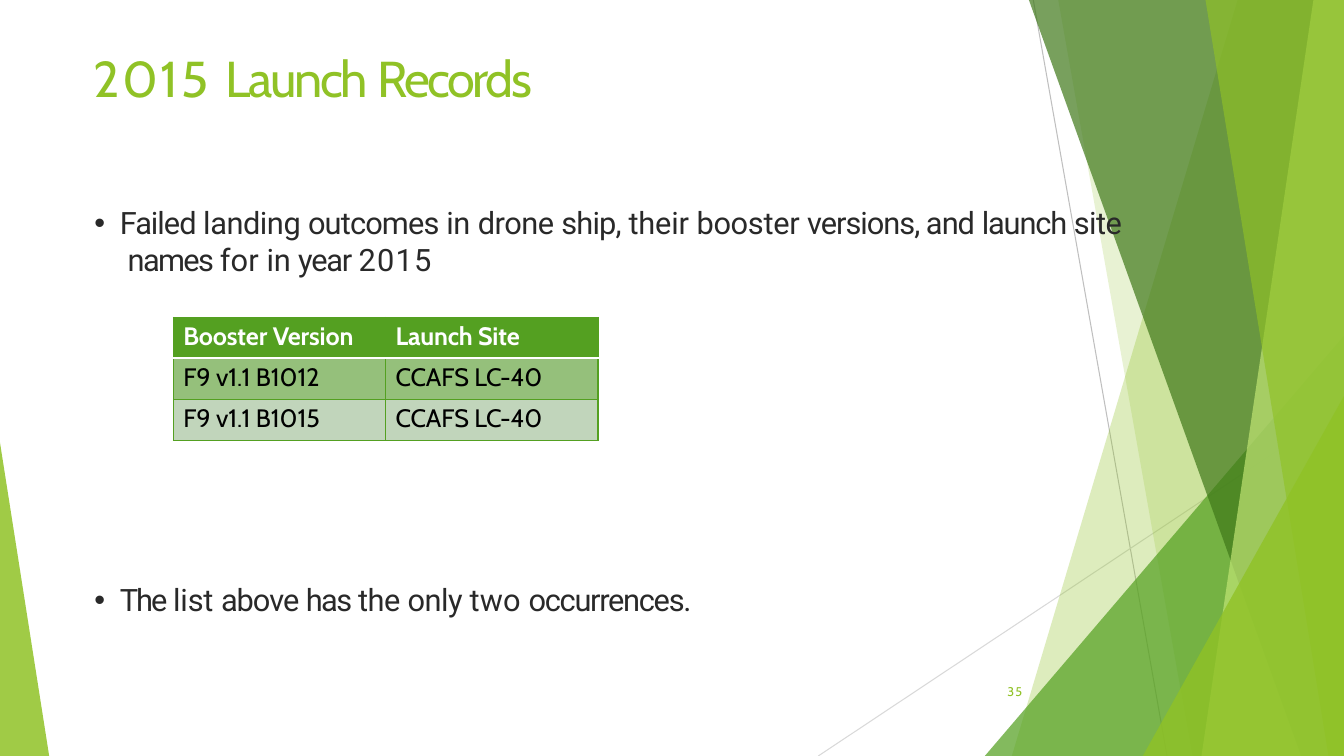
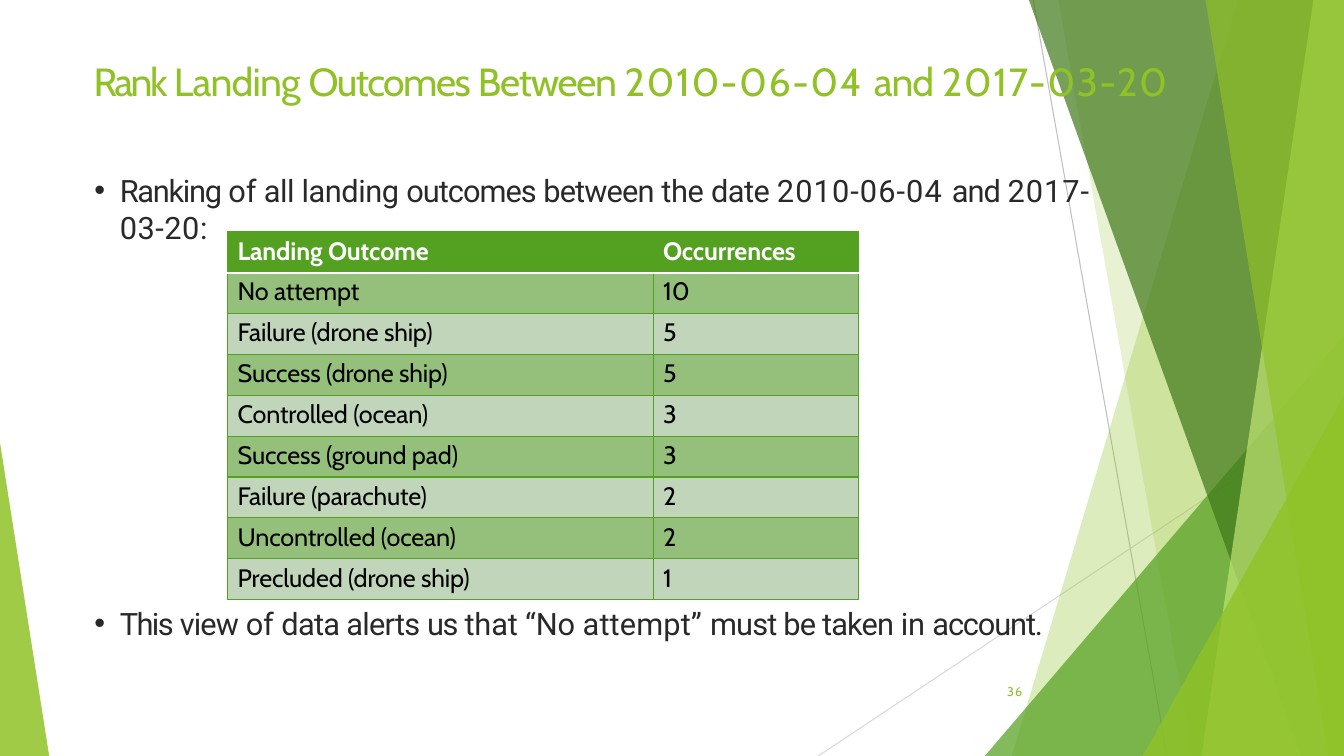
"""Build two slides of launch records with python-pptx."""
import dataclasses

import lxml.etree
import pptx
import pptx.dml.color
import pptx.enum.shapes
import pptx.enum.text
import pptx.oxml.ns
import pptx.util

Cm = pptx.util.Cm
Pt = pptx.util.Pt
qn = pptx.oxml.ns.qn


@dataclasses.dataclass(frozen=True)
class Theme:
    """Colours, fonts and type sizes of the deck."""
    wide: float = 33.87
    high: float = 19.05
    left: float = 2.36
    lime: str = "90C226"
    green: str = "54A021"
    dark: str = "3F7819"
    pale: str = "C0E474"
    ink: str = "292929"
    black: str = "000000"
    white: str = "FFFFFF"
    rules: tuple = ("BFBFBF", "D9D9D9")
    rows: tuple = ("95C07B", "C1D5BB")
    head: str = "Cabin"
    body: str = "Roboto"
    text: int = 22
    cell: int = 18
    page: int = 9


T = Theme()


def rgb(code):
    """Turn a hex code into a colour."""
    return pptx.dml.color.RGBColor.from_string(code)


def put(item, vals):
    """Set each named value on an item."""
    for name, val in vals.items():
        setattr(item, name, val)


def node(parent, tag, **vals):
    """Add an XML child with attributes."""
    return lxml.etree.SubElement(parent, qn(tag), vals)


def write(para, runs, face, size, code, bold=False):
    """Add runs given as text and letter spacing in points."""
    for text, gap in runs:
        run = para.add_run()
        run.text = text
        put(run.font, {"name": face, "size": Pt(size), "bold": bold})
        run.font.color.rgb = rgb(code)
        run.font._element.set("spc", str(round(gap * 100)))


def frame(slide, left, top, wide, high, inset=0.03):
    """Add a wrapping text box and return its frame."""
    box = slide.shapes.add_textbox(Cm(left), Cm(top), Cm(wide), Cm(high))
    put(box.text_frame, {"word_wrap": True, "margin_left": 0, "margin_right": 0,
                         "margin_top": Cm(inset), "margin_bottom": 0})
    return box.text_frame


def tint(shape, code, alpha):
    """Give a shape a see-through fill and no outline."""
    shape.shadow.inherit = False
    shape.fill.solid()
    shape.fill.fore_color.rgb = rgb(code)
    shape.line.fill.background()
    fill = next(shape._element.spPr.iter(qn("a:srgbClr")))
    node(fill, "a:alpha", val=str(alpha * 1000))


def band(slide, top, base, code, alpha):
    """Draw a band from a slanted edge to the right side."""
    path = slide.shapes.build_freeform(Cm(top), 0)
    path.add_line_segments([(Cm(T.wide), 0), (Cm(T.wide), Cm(T.high)),
                            (Cm(base), Cm(T.high))])
    tint(path.convert_to_shape(), code, alpha)


def spike(slide, left, wide, high, peak, code, alpha):
    """Draw a right-angled triangle that stands on the bottom edge."""
    kind = pptx.enum.shapes.MSO_SHAPE.ISOSCELES_TRIANGLE
    shape = slide.shapes.add_shape(kind, Cm(left), Cm(T.high - high), Cm(wide), Cm(high))
    shape.adjustments[0] = peak
    tint(shape, code, alpha)


def rule(slide, ends, code):
    """Draw a thin line."""
    kind = pptx.enum.shapes.MSO_CONNECTOR.STRAIGHT
    line = slide.shapes.add_connector(kind, *map(Cm, ends))
    line.line.width = Pt(0.75)
    line.line.color.rgb = rgb(code)
    node(line._element.spPr, "a:effectLst")


def decor(slide):
    """Draw the shared lines, bands and triangles."""
    ends = ((26.04, 0, 29.41, T.high), (T.wide, 10.24, 20.62, T.high))
    for pair, code in zip(ends, T.rules):
        rule(slide, pair, code)
    band(slide, 31.19, 25.5, T.lime, 30)
    band(slide, 26.67, 30.05, T.lime, 20)
    spike(slide, 24.82, 9.05, 10.59, 1, T.green, 72)
    band(slide, 25.93, 32.79, T.dark, 70)
    band(slide, 33.1, 30.28, T.pale, 70)
    band(slide, 30.38, 33.48, T.lime, 65)
    spike(slide, 28.8, 5.07, 9.07, 1, T.lime, 80)
    spike(slide, 0, 1.24, 7.9, 0, T.lime, 85)


def title(slide, top, wide, size, runs):
    """Add the slide title."""
    text = frame(slide, T.left, top, wide, size * 0.045)
    write(text.paragraphs[0], runs, T.head, size, T.lime)


def number(slide, page):
    """Add the page number."""
    text = frame(slide, 23.85, 16.79, 1.91, 1.02, 0)
    text.vertical_anchor = pptx.enum.text.MSO_ANCHOR.MIDDLE
    para = text.paragraphs[0]
    put(para, {"alignment": pptx.enum.text.PP_ALIGN.RIGHT, "line_spacing": Pt(18.4)})
    write(para, [(page, 0.8)], T.head, T.page, T.lime)


def bullet(slide, top, wide, runs, more=(), inset=0.66):
    """Add a bullet and, if given, an indented line below it."""
    text = frame(slide, T.left, top, wide, 1.93)
    para = text.paragraphs[0]
    prop = para._p.get_or_add_pPr()
    put_in = {"marL": Cm(0.66), "indent": Cm(-0.64)}
    for name, val in put_in.items():
        prop.set(name, str(val))
    node(prop, "a:buFont", typeface="Arial")
    node(prop, "a:buChar", char="•")
    write(para, runs, T.body, T.text, T.ink)
    if more:
        para = text.add_paragraph()
        para._p.get_or_add_pPr().set("marL", str(Cm(inset)))
        write(para, more, T.body, T.text, T.ink)


def edge(cell, side, code, width):
    """Draw one border of a cell."""
    line = node(cell._tc.get_or_add_tcPr(), "a:ln" + side, w=str(Pt(width)))
    node(node(line, "a:solidFill"), "a:srgbClr", val=code)


def table(slide, left, top, cols, rows):
    """Add a banded table with a header row."""
    high = 1.03
    grid = slide.shapes.add_table(len(rows), len(cols), Cm(left), Cm(top),
                                  Cm(sum(cols)), Cm(high * len(rows))).table
    for col, wide in zip(grid.columns, cols):
        col.width = Cm(wide)
    for i, row in enumerate(rows):
        grid.rows[i].height = Cm(high)
        first = i == 0
        for j, text in enumerate(row):
            cell = grid.cell(i, j)
            put(cell, {"margin_left": Cm(0.25), "margin_right": 0,
                       "margin_top": Cm(0.1), "margin_bottom": 0})
            white = {0: "B", 1: "T"}.get(i)
            for side in "LRTB":
                look = (T.white, 1.5) if side == white else (T.green, 1)
                edge(cell, side, *look)
            cell.fill.solid()
            cell.fill.fore_color.rgb = rgb(T.green if first else T.rows[(i - 1) % 2])
            write(cell.text_frame.paragraphs[0], [(text, -0.1)], T.head, T.cell,
                  T.white if first else T.black, first)


def start(deck, page):
    """Add a blank slide with the shared parts."""
    slide = deck.slides.add_slide(deck.slide_layouts[6])
    decor(slide)
    number(slide, page)
    return slide


def records(deck):
    """Build the slide of launch records."""
    slide = start(deck, "35")
    bullet(slide, 5.11, 27.2, [
        ("Failed ", -0.7), ("landing ", -0.3), ("outcomes ", -0.6), ("in ", -0.2),
        ("drone ", -0.3), ("ship, ", -0.6), ("their ", -0.1), ("booster ", -0.2),
        ("versions, and ", -0.7), ("launch ", -0.8), ("site", -0.4)],
        [("names ", -1.2), ("for ", 0.1), ("in ", -0.2), ("year ", -0.9), ("2015", 0.9)],
        0.86)
    title(slide, 1.17, 12.42, 36, [("2015 ", 1.8), ("Launch ", -1.6), ("Records", -1.8)])
    bullet(slide, 14.61, 15.2, [
        ("The ", -1.4), ("list ", -0.1), ("above ", -0.7), ("has ", -1.2), ("the ", -0.3),
        ("only ", -0.4), ("two ", 0.1), ("occurrences.", -0.9)])
    table(slide, 4.37, 8, (5.35, 5.35), [
        ("Booster Version", "Launch Site"),
        ("F9 v1.1 B1012", "CCAFS LC-40"),
        ("F9 v1.1 B1015", "CCAFS LC-40")])


def ranking(deck):
    """Build the slide that ranks landing outcomes."""
    slide = start(deck, "36")
    bullet(slide, 4.29, 26.4, [
        ("Ranking ", -0.9), ("of ", -0.1), ("all ", -0.4), ("landing ", -0.3),
        ("outcomes ", -0.7), ("between ", -0.6), ("the ", -0.3), ("date ", -0.4),
        ("2010-06-04 ", 0.8), ("and ", -0.7), ("2017-", 0.7)], [("03-20:", 0.4)])
    title(slide, 1.42, 28.2, 28, [
        ("Rank ", -1.8), ("Landing ", -0.6), ("Outcomes ", -1.1), ("Between ", -0.9),
        ("2010-06-04 ", 1.1), ("and ", -0.8), ("2017-03-20", 1.1)])
    bullet(slide, 15.21, 24, [
        ("This ", -1.1), ("view ", -0.6), ("of ", -0.1), ("data alerts ", -0.5),
        ("us ", -1.1), ("that “No ", -0.1), ("attempt” ", 0.1),
        ("must be taken ", -0.6), ("in ", -0.2), ("account.", -0.8)])
    table(slide, 5.74, 5.84, (10.72, 5.18), [
        ("Landing Outcome", "Occurrences"),
        ("No attempt", "10"),
        ("Failure (drone ship)", "5"),
        ("Success (drone ship)", "5"),
        ("Controlled (ocean)", "3"),
        ("Success (ground pad)", "3"),
        ("Failure (parachute)", "2"),
        ("Uncontrolled (ocean)", "2"),
        ("Precluded (drone ship)", "1")])


def main():
    """Build and save the deck."""
    deck = pptx.Presentation()
    put(deck, {"slide_width": Cm(T.wide), "slide_height": Cm(T.high)})
    records(deck)
    ranking(deck)
    deck.save("out.pptx")


if __name__ == "__main__":
    main()
